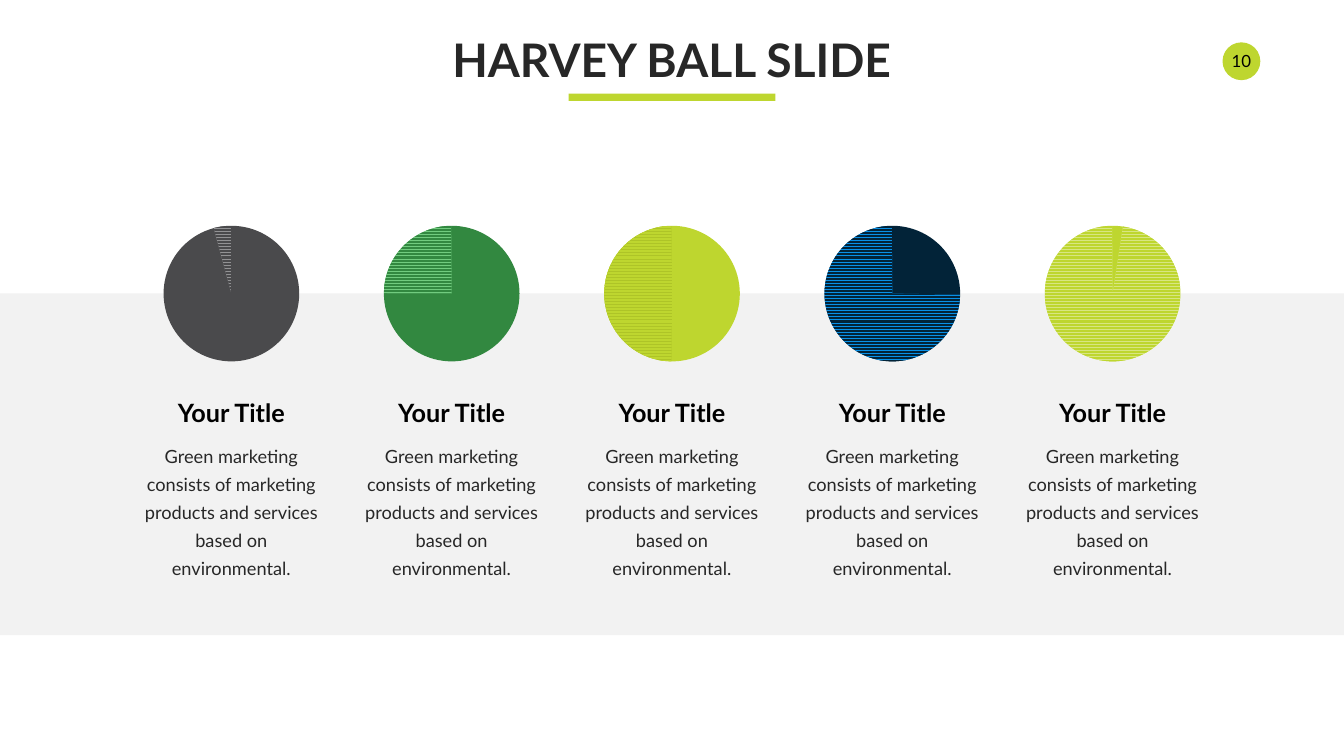
from pptx import Presentation
from pptx.dml import color
from pptx.enum import dml, shapes, text
from pptx.util import Inches, Pt

FONT = "Lato"
INK, BLACK, LIME, BAND = "272727", "000000", "BED62F", "F2F2F2"
BODY = "Green marketing consists of marketing products and services based on environmental."
BALLS = [
    ("4A4A4C", "929294", 254.9),
    ("328840", "71CB7F", 180.28),
    (LIME, "AEC427", 90.43),
    ("022338", "0890E7", 0.92),
    (LIME, "D8E682", 278.73),
]
PIE_END = 269.56
FIRST_CENTER, PITCH = 4.59, 4.37
BALL_TOP, BALL_SIZE = 4.48, 2.69


def rgb(value):
    return color.RGBColor.from_string(value)


class SlideBuilder:
    def __init__(self, slide):
        self.slide = slide

    def shape(self, kind, left, top, width, height, fill):
        shape = self.slide.shapes.add_shape(
            kind, Inches(left), Inches(top), Inches(width), Inches(height))
        shape.shadow.inherit = False
        shape.line.fill.background()
        shape.fill.solid()
        shape.fill.fore_color.rgb = rgb(fill)
        return shape

    def set_text(self, shape, content, size, ink, bold=False, wrap=True, spacing=None):
        frame = shape.text_frame
        frame.word_wrap = wrap
        frame.text = content
        paragraph = frame.paragraphs[0]
        paragraph.alignment = text.PP_ALIGN.CENTER
        if spacing:
            paragraph.line_spacing = Pt(spacing)
        font = paragraph.font
        font.name, font.size, font.bold = FONT, Pt(size), bold
        font.color.rgb = rgb(ink)
        return frame

    def title(self, content, left, top, width, height):
        title = self.slide.shapes.title
        title.left, title.top = Inches(left), Inches(top)
        title.width, title.height = Inches(width), Inches(height)
        frame = self.set_text(title, content, 66, INK, bold=True, wrap=False)
        frame.vertical_anchor = text.MSO_ANCHOR.TOP
        frame.auto_size = text.MSO_AUTO_SIZE.NONE

    def label(self, content, center, top, width, height, size, ink, **style):
        box = self.slide.shapes.add_textbox(
            Inches(center - width / 2), Inches(top), Inches(width), Inches(height))
        self.set_text(box, content, size, ink, **style)

    def badge(self, content, left, top, size):
        badge = self.shape(shapes.MSO_SHAPE.OVAL, left, top, size, size, LIME)
        frame = self.set_text(badge, content, 24, BLACK)
        frame.vertical_anchor = text.MSO_ANCHOR.MIDDLE
        frame.margin_left = frame.margin_right = Inches(0.05)
        frame.margin_top = frame.margin_bottom = Inches(0.05)

    def harvey_ball(self, center, fill, stripe, start):
        box = (center - BALL_SIZE / 2, BALL_TOP, BALL_SIZE, BALL_SIZE)
        self.shape(shapes.MSO_SHAPE.OVAL, *box, fill)
        pie = self.shape(shapes.MSO_SHAPE.PIE, *box, fill)
        for index, degrees in enumerate((start, PIE_END)):
            pie.adjustments[index] = degrees * 0.6
        pie.fill.patterned()
        pie.fill.pattern = dml.MSO_PATTERN.ZIG_ZAG
        pie.fill.fore_color.rgb = rgb(fill)
        pie.fill.back_color.rgb = rgb(stripe)


def main():
    presentation = Presentation()
    presentation.slide_width, presentation.slide_height = Inches(26.66), Inches(15)
    builder = SlideBuilder(presentation.slides.add_slide(presentation.slide_layouts[5]))

    builder.title("HARVEY BALL SLIDE", 8.87, 0.57, 8.91, 1.21)
    builder.badge("10", 24.25, 0.84, 0.75)
    builder.shape(shapes.MSO_SHAPE.RECTANGLE, 0, 5.82, 26.66, 6.78, BAND)
    builder.shape(shapes.MSO_SHAPE.RECTANGLE, 11.28, 1.86, 4.1, 0.14, LIME)

    for index, (fill, stripe, start) in enumerate(BALLS):
        center = FIRST_CENTER + index * PITCH
        builder.harvey_ball(center, fill, stripe, start)
        builder.label("Your Title", center, 7.84, 2.4, 0.71, 36, BLACK, bold=True, wrap=False)
        builder.label(BODY, center, 8.67, 3.83, 2.86, 26, INK, spacing=40)

    presentation.save("out.pptx")


if __name__ == "__main__":
    main()
